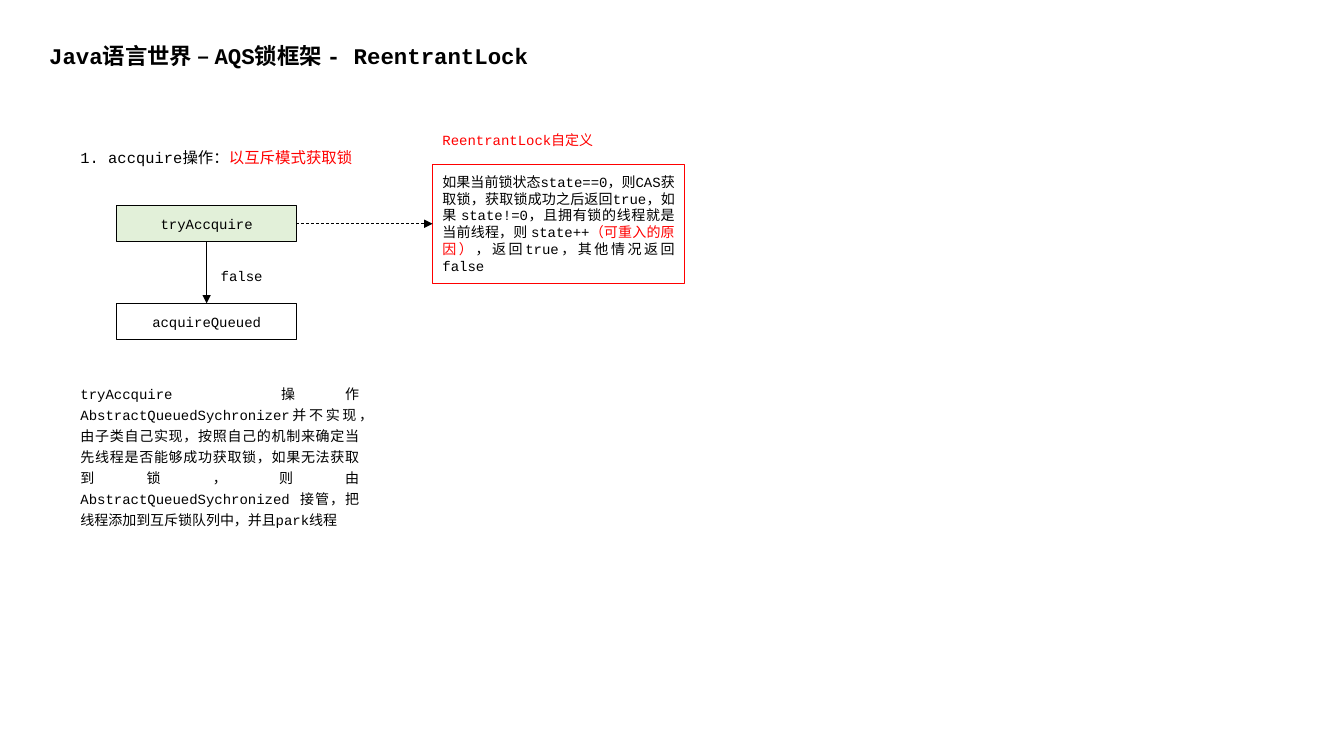
from dataclasses import dataclass

from lxml import etree
from pptx import Presentation
from pptx import util as u
from pptx.dml.color import RGBColor
from pptx.enum import dml, lang, shapes, text
from pptx.oxml.ns import qn

COLORS = {"black": "000000", "red": "FF0000", "green": "E2F0D9"}
FONT = "Courier New"

STEP_LEFT, STEP_TOP, STEP_W, STEP_H, STEP_GAP = 1.16, 2.04, 1.78, 0.36, 0.61
STEP_MID = STEP_LEFT + STEP_W / 2
STEP_RIGHT = STEP_LEFT + STEP_W
QUEUE_TOP = STEP_TOP + STEP_H + STEP_GAP
NOTE_LEFT, NOTE_TOP, NOTE_W, NOTE_H = 4.29, 1.63, 2.5, 1.18
NOTE_MID = NOTE_TOP + NOTE_H / 2

Runs = list[tuple[str, str]]


@dataclass
class Label:
    left: float
    top: float
    width: float
    height: float
    runs: Runs
    size: float = 10
    bold: bool = False
    spacing: float = 1.25


@dataclass
class Box:
    left: float
    top: float
    width: float
    height: float
    runs: Runs
    fill: str | None = None
    line: str = "black"
    align: text.PP_ALIGN = text.PP_ALIGN.CENTER


@dataclass
class Arrow:
    x1: float
    y1: float
    x2: float
    y2: float
    dashed: bool = False


LABELS = [
    Label(0.39, 0.37, 5.37, 0.37, [("Java语言世界 – AQS锁框架 - ReentrantLock", "black")],
          size=16, bold=True, spacing=1.0),
    Label(0.7, 1.37, 2.96, 0.31,
          [("1. accquire操作：", "black"), ("以互斥模式获取锁", "red")], size=11),
    Label(2.09, 2.56, 0.82, 0.29, [("false", "black")]),
    Label(0.7, 3.73, 2.96, 1.34, [(
        "tryAccquire 操作 AbstractQueuedSychronizer并不实现，由子类自己实现，"
        "按照自己的机制来确定当先线程是否能够成功获取锁，如果无法获取到锁，则由 "
        "AbstractQueuedSychronized 接管，把线程添加到互斥锁队列中，并且park线程", "black")]),
    Label(NOTE_LEFT, 1.21, 1.77, 0.29, [("ReentrantLock自定义", "red")]),
]

BOXES = [
    Box(STEP_LEFT, STEP_TOP, STEP_W, STEP_H, [("tryAccquire", "black")], fill="green"),
    Box(STEP_LEFT, QUEUE_TOP, STEP_W, STEP_H, [("acquireQueued", "black")]),
    Box(NOTE_LEFT, NOTE_TOP, NOTE_W, NOTE_H, [
        ("如果当前锁状态state==0，则CAS获取锁，获取锁成功之后返回true，"
         "如果 state!=0，且拥有锁的线程就是当前线程，则 state++", "black"),
        ("（可重入的原因）", "red"),
        ("，返回true，其他情况返回false", "black"),
    ], line="red", align=text.PP_ALIGN.JUSTIFY),
]

ARROWS = [
    Arrow(STEP_MID, STEP_TOP + STEP_H, STEP_MID, QUEUE_TOP),
    Arrow(STEP_RIGHT, NOTE_MID, NOTE_LEFT, NOTE_MID, dashed=True),
]


def rgb(name: str) -> RGBColor:
    return RGBColor.from_string(COLORS[name])


def write(tf, runs: Runs, align: text.PP_ALIGN, size: float = 10,
          bold: bool = False, spacing: float = 1.0) -> None:
    tf.word_wrap = True
    p = tf.paragraphs[0]
    p.alignment = align
    p.line_spacing = spacing
    formats = {"name": FONT, "size": u.Pt(size), "bold": bold,
               "language_id": lang.MSO_LANGUAGE_ID.SIMPLIFIED_CHINESE}
    for content, color in runs:
        r = p.add_run()
        r.text = content
        for key, value in formats.items():
            setattr(r.font, key, value)
        r.font.color.rgb = rgb(color)


def draw_label(s, label: Label) -> None:
    sp = s.shapes.add_textbox(*map(u.Inches, (label.left, label.top, label.width, label.height)))
    write(sp.text_frame, label.runs, text.PP_ALIGN.JUSTIFY,
          label.size, label.bold, label.spacing)
    sp.text_frame.auto_size = text.MSO_AUTO_SIZE.SHAPE_TO_FIT_TEXT


def draw_box(s, box: Box) -> None:
    sp = s.shapes.add_shape(shapes.MSO_SHAPE.RECTANGLE,
                            *map(u.Inches, (box.left, box.top, box.width, box.height)))
    sp.shadow.inherit = False
    if box.fill:
        sp.fill.solid()
        sp.fill.fore_color.rgb = rgb(box.fill)
    else:
        sp.fill.background()
    sp.line.color.rgb = rgb(box.line)
    sp.line.width = u.Pt(0.75)
    sp.text_frame.vertical_anchor = text.MSO_ANCHOR.MIDDLE
    write(sp.text_frame, box.runs, box.align)


def draw_arrow(s, arrow: Arrow) -> None:
    sp = s.shapes.add_connector(shapes.MSO_CONNECTOR.STRAIGHT,
                                *map(u.Inches, (arrow.x1, arrow.y1, arrow.x2, arrow.y2)))
    sp.line.color.rgb = rgb("black")
    sp.line.width = u.Pt(0.5)
    if arrow.dashed:
        sp.line.dash_style = dml.MSO_LINE.DASH
    props = sp._element.spPr
    etree.SubElement(props.find(qn("a:ln")), qn("a:tailEnd"), type="triangle")
    etree.SubElement(props, qn("a:effectLst"))


def main() -> None:
    prs = Presentation()
    prs.slide_width, prs.slide_height = u.Inches(13.33), u.Inches(7.5)
    s = prs.slides.add_slide(prs.slide_layouts[6])
    for box in BOXES:
        draw_box(s, box)
    for arrow in ARROWS:
        draw_arrow(s, arrow)
    for label in LABELS:
        draw_label(s, label)
    prs.save("out.pptx")


if __name__ == "__main__":
    main()
